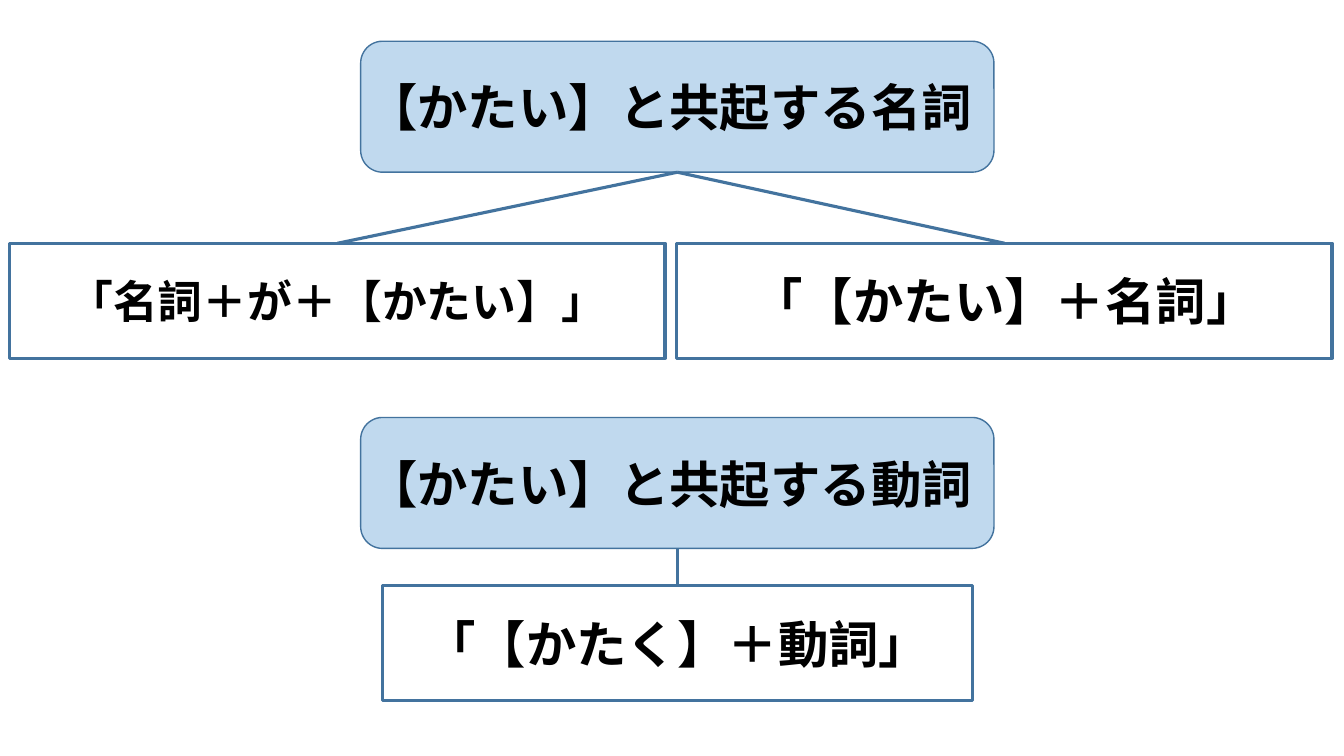
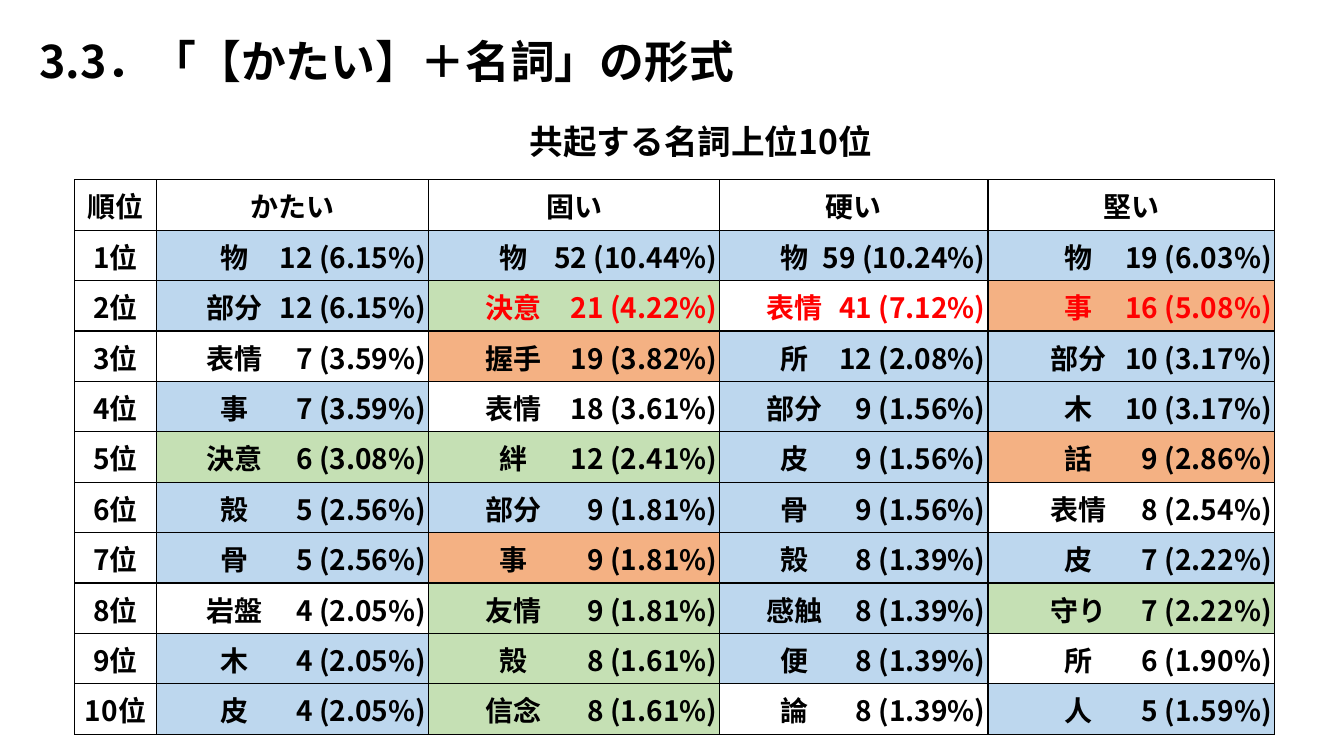
from lxml import etree
from pptx import Presentation
from pptx import util as u
from pptx.dml.color import RGBColor
from pptx.enum import shapes, text
from pptx.oxml.ns import qn

FONT = "Noto Sans CJK JP"
COLOURS = {
    "ink": "000000",
    "alert": "FF0000",
    "outline": "43739E",
    "blue": "BDD7EE",
    "green": "C5E0B4",
    "orange": "F4B183",
}

COLUMN_WIDTHS = [2.06, 6.86, 7.34, 6.76, 7.21]
NOUN_CENTRES = [1.95, 2.1, 1.85, 2.25]
ROW_HEIGHT = 1.27
CELL_INSET = 0.03
HEADINGS = ["順位", "かたい", "固い", "硬い", "堅い"]
# One row for each rank: noun, count with share, fill
RANKING = [
    [("物", "12 (6.15%)", "blue"), ("物", "52 (10.44%)", "blue"),
     ("物", "59 (10.24%)", "blue"), ("物", "19 (6.03%)", "blue")],
    [("部分", "12 (6.15%)", "blue"), ("決意", "21 (4.22%)", "green"),
     ("表情", "41 (7.12%)", None), ("事", "16 (5.08%)", "orange")],
    [("表情", "7 (3.59%)", None), ("握手", "19 (3.82%)", "orange"),
     ("所", "12 (2.08%)", "blue"), ("部分", "10 (3.17%)", "blue")],
    [("事", "7 (3.59%)", "blue"), ("表情", "18 (3.61%)", None),
     ("部分", "9 (1.56%)", "blue"), ("木", "10 (3.17%)", "blue")],
    [("決意", "6 (3.08%)", "green"), ("絆", "12 (2.41%)", "green"),
     ("皮", "9 (1.56%)", "blue"), ("話", "9 (2.86%)", "orange")],
    [("殻", "5 (2.56%)", "blue"), ("部分", "9 (1.81%)", "blue"),
     ("骨", "9 (1.56%)", "blue"), ("表情", "8 (2.54%)", None)],
    [("骨", "5 (2.56%)", "blue"), ("事", "9 (1.81%)", "orange"),
     ("殻", "8 (1.39%)", "blue"), ("皮", "7 (2.22%)", "blue")],
    [("岩盤", "4 (2.05%)", None), ("友情", "9 (1.81%)", "green"),
     ("感触", "8 (1.39%)", "blue"), ("守り", "7 (2.22%)", "green")],
    [("木", "4 (2.05%)", "blue"), ("殻", "8 (1.61%)", "green"),
     ("便", "8 (1.39%)", "blue"), ("所", "6 (1.90%)", None)],
    [("皮", "4 (2.05%)", "blue"), ("信念", "8 (1.61%)", "green"),
     ("論", "8 (1.39%)", None), ("人", "5 (1.59%)", "blue")],
]
ALERTS = {(2, 2), (2, 3), (2, 4)}


def colour(name):
    return RGBColor.from_string(COLOURS[name])


def write(frame, words, size, align, ink="ink"):
    frame.text = words
    paragraph = frame.paragraphs[0]
    paragraph.alignment = align
    for run in paragraph.runs:
        run.font.name = FONT
        run.font.size = u.Pt(size)
        run.font.bold = True
        run.font.color.rgb = colour(ink)
        etree.SubElement(run.font._element, qn("a:ea"), typeface=FONT)
    return paragraph


def add_label(slide, box, words, size, align, anchor):
    shape = slide.shapes.add_textbox(*map(u.Cm, box))
    shape.text_frame.word_wrap = True
    shape.text_frame.vertical_anchor = anchor
    write(shape.text_frame, words, size, align)


def add_box(slide, kind, box, words, size, align, line_width, fill=None):
    shape = slide.shapes.add_shape(kind, *map(u.Cm, box))
    shape.shadow.inherit = False
    if fill:
        shape.fill.solid()
        shape.fill.fore_color.rgb = colour(fill)
        hue = shape.fill._xPr.find(".//" + qn("a:srgbClr"))
        etree.SubElement(hue, qn("a:alpha"), val="95000")
    else:
        shape.fill.background()
    shape.line.color.rgb = colour("outline")
    shape.line.width = u.Pt(line_width)
    frame = shape.text_frame
    frame.word_wrap = True
    frame.vertical_anchor = text.MSO_ANCHOR.MIDDLE
    frame.margin_left = frame.margin_right = 0
    write(frame, words, size, align)
    return shape


def join(slide, parent, child):
    line = slide.shapes.add_connector(shapes.MSO_CONNECTOR.STRAIGHT, 0, 0, 0, 0)
    line.begin_connect(parent, 2)
    line.end_connect(child, 0)
    line.line.color.rgb = colour("outline")
    line.line.width = u.Pt(2.25)
    etree.SubElement(line._element.spPr, qn("a:effectLst"))


def add_tree(slide, centre, top, heading, drop, left, width, branches):
    """Place a heading around centre, and its branches in a row from left."""
    root_width, root_height, branch_height, gap = 15.96, 3.3, 2.9, 0.3
    root = add_box(
        slide, shapes.MSO_SHAPE.ROUNDED_RECTANGLE,
        (centre - root_width / 2, top, root_width, root_height),
        heading, 36, text.PP_ALIGN.LEFT, 1, "blue")
    for index, (words, size) in enumerate(branches):
        box = (left + index * (width + gap), top + root_height + drop,
               width, branch_height)
        branch = add_box(slide, shapes.MSO_SHAPE.RECTANGLE, box, words, size,
                         text.PP_ALIGN.CENTER, 2.25)
        join(slide, root, branch)


def add_tabs(paragraph, stops):
    tabs = etree.SubElement(paragraph._p.get_or_add_pPr(), qn("a:tabLst"))
    for position, align in stops:
        etree.SubElement(tabs, qn("a:tab"), pos=str(u.Cm(position)), algn=align)


def border(cell):
    properties = cell._tc.get_or_add_tcPr()
    for index, side in enumerate(("a:lnL", "a:lnR", "a:lnT", "a:lnB")):
        line = etree.Element(qn(side), w=str(u.Pt(1)))
        fill = etree.SubElement(line, qn("a:solidFill"))
        etree.SubElement(fill, qn("a:srgbClr"), val=COLOURS["ink"])
        properties.insert(index, line)


def fill_cell(cell, words, align, fill=None, ink="ink"):
    cell.margin_left = cell.margin_right = cell.margin_top = u.Cm(CELL_INSET)
    cell.margin_bottom = 0
    cell.vertical_anchor = text.MSO_ANCHOR.MIDDLE
    if fill:
        cell.fill.solid()
        cell.fill.fore_color.rgb = colour(fill)
    else:
        cell.fill.background()
    border(cell)
    return write(cell.text_frame, words, 20, align, ink)


def add_ranking(slide, left, top):
    row_count = len(RANKING) + 1
    table = slide.shapes.add_table(
        row_count, len(HEADINGS), u.Cm(left), u.Cm(top),
        u.Cm(sum(COLUMN_WIDTHS)), u.Cm(ROW_HEIGHT * row_count)).table
    table.first_row = table.horz_banding = False
    for column, width in zip(table.columns, COLUMN_WIDTHS):
        column.width = u.Cm(width)
    for row in table.rows:
        row.height = u.Cm(ROW_HEIGHT)
    for column, heading in enumerate(HEADINGS):
        fill_cell(table.cell(0, column), heading, text.PP_ALIGN.CENTER)
    for rank, entries in enumerate(RANKING, 1):
        fill_cell(table.cell(rank, 0), f"{rank}位", text.PP_ALIGN.CENTER)
        for column, (noun, figures, fill) in enumerate(entries, 1):
            ink = "alert" if (rank, column) in ALERTS else "ink"
            paragraph = fill_cell(table.cell(rank, column), f"\t{noun}\t{figures}",
                                  text.PP_ALIGN.LEFT, fill, ink)
            edge = COLUMN_WIDTHS[column] - 3 * CELL_INSET
            add_tabs(paragraph, [(NOUN_CENTRES[column - 1], "ctr"), (edge, "r")])


def build_overview(slide):
    centre = 17.07
    add_tree(slide, centre, 1.04, "【かたい】と共起する名詞", 1.79, 0.25, 16.51,
             [("「名詞＋が＋【かたい】」", 32), ("「【かたい】＋名詞」", 36)])
    add_tree(slide, centre, 10.52, "【かたい】と共起する動詞", 0.94, 9.64, 14.86,
             [("「【かたく】＋動詞」", 36)])


def build_ranking(slide):
    add_label(slide, (5.1, 2.92, 25.12, 1.27), "共起する名詞上位10位", 24,
              text.PP_ALIGN.CENTER, text.MSO_ANCHOR.TOP)
    add_ranking(slide, 1.88, 4.53)
    add_label(slide, (0.74, 0.71, 21.23, 1.63), "3.3．「【かたい】＋名詞」の形式", 32,
              text.PP_ALIGN.LEFT, text.MSO_ANCHOR.MIDDLE)


def main():
    presentation = Presentation()
    presentation.slide_width = u.Cm(33.87)
    presentation.slide_height = u.Cm(19.05)
    blank = presentation.slide_layouts[6]
    for build in (build_overview, build_ranking):
        build(presentation.slides.add_slide(blank))
    presentation.save("out.pptx")


if __name__ == "__main__":
    main()
